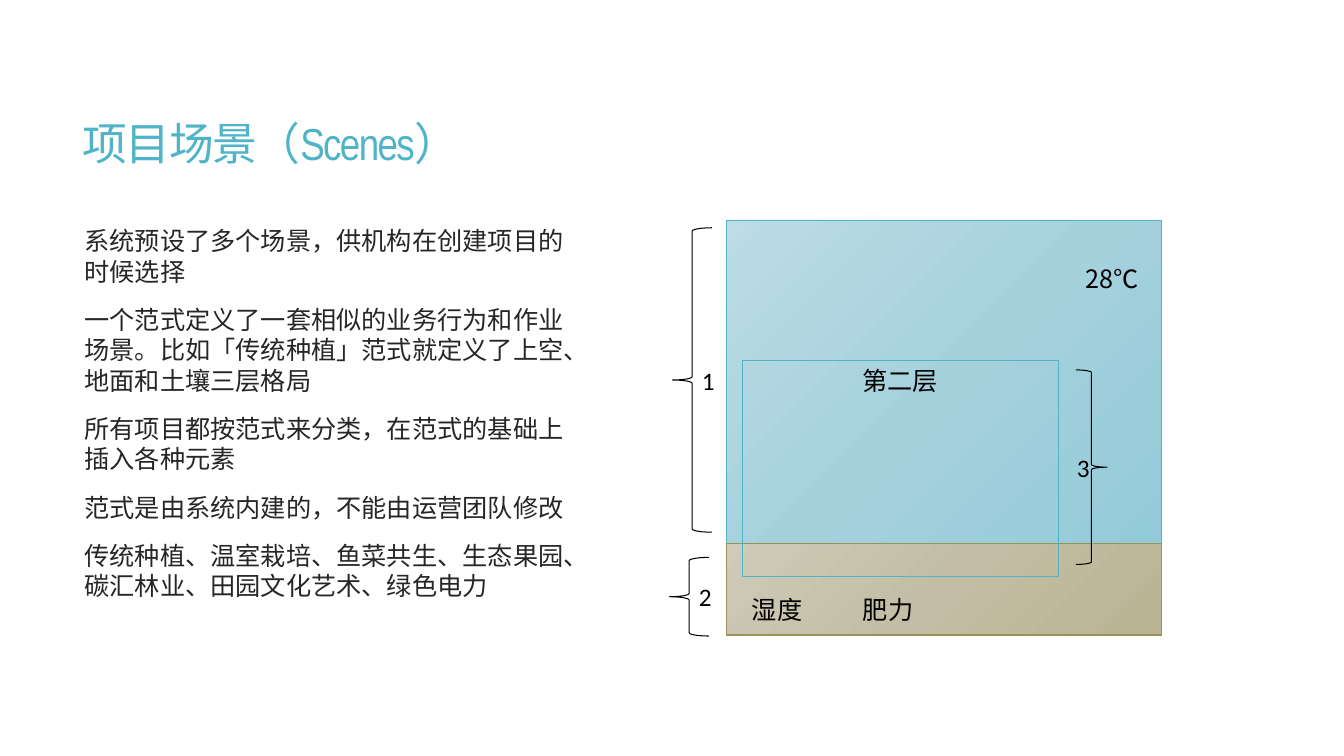
from copy import deepcopy

from pptx import Presentation
from pptx.dml.color import RGBColor
from pptx.enum.shapes import MSO_SHAPE
from pptx.enum.text import MSO_ANCHOR, PP_ALIGN
from pptx.oxml.ns import qn
from pptx.util import Inches, Pt

COLORS = {"accent": "50B4C8", "soil": "9B9256", "text": "262626", "black": "000000"}
CJK, LATIN, TITLE_LATIN = "Noto Sans CJK SC", "Calibri", "Arial Narrow"

TITLE = [("项目场景（", CJK), ("Scenes", TITLE_LATIN), ("）", CJK)]
TITLE_BOX = (0.72, 0.55, 11.78, 1.81)
BODY = [
    "系统预设了多个场景，供机构在创建项目的时候选择",
    "一个范式定义了一套相似的业务行为和作业场景。比如「传统种植」范式就定义了上空、地面和土壤三层格局",
    "所有项目都按范式来分类，在范式的基础上插入各种元素",
    "范式是由系统内建的，不能由运营团队修改",
    "传统种植、温室栽培、鱼菜共生、生态果园、碳汇林业、田园文化艺术、绿色电力",
]
BODY_BOX = (0.74, 2.19, 5.1, 4.12)
LAYERS = [
    ((7.21, 2.19, 4.31, 3.21), "accent", ("BDDCE5", "A5D1DD", "94CBD9")),
    ((7.21, 5.39, 4.31, 0.91), "soil", ("CFCBB8", "C2BDA4", "BAB494")),
]
SECOND_LAYER = ("第二层", (7.36, 3.58, 3.14, 2.14))
BRACES = [
    ("1", MSO_SHAPE.LEFT_BRACE, (6.67, 2.26, 0.39, 3.02)),
    ("2", MSO_SHAPE.LEFT_BRACE, (6.64, 5.53, 0.39, 0.78)),
    ("3", MSO_SHAPE.RIGHT_BRACE, (10.67, 3.67, 0.31, 1.93)),
]
READINGS = [
    ("28℃", (10.67, 2.56, 0.84, 0.4)),
    ("湿度", (7.36, 5.85, 0.81, 0.41)),
    ("肥力", (8.46, 5.85, 0.81, 0.41)),
]


def inches(box):
    return [Inches(value) for value in box]


def color(name):
    return RGBColor.from_string(COLORS[name])


def add_run(paragraph, text, font_name=CJK, size=18, color_name="black"):
    run = paragraph.add_run()
    run.text = text
    for name, value in {"name": font_name, "size": Pt(size), "bold": False}.items():
        setattr(run.font, name, value)
    run.font.color.rgb = color(color_name)
    east_asian = run.font._element.makeelement(qn("a:ea"), {"typeface": CJK})
    run.font._element.find(qn("a:latin")).addnext(east_asian)
    return run


def add_text_box(slide, box):
    frame = slide.shapes.add_textbox(*inches(box)).text_frame
    frame.word_wrap = True
    return frame


def add_outline(slide, kind, box, line_color):
    shape = slide.shapes.add_shape(kind, *inches(box))
    shape.shadow.inherit = False
    shape.fill.background()
    shape.line.color.rgb = color(line_color)
    shape.line.width = Pt(0.75)
    return shape


def add_label(shape, text, font_name, anchor):
    shape.text_frame.vertical_anchor = anchor
    paragraph = shape.text_frame.paragraphs[0]
    paragraph.alignment = PP_ALIGN.CENTER
    add_run(paragraph, text, font_name)


def fill_gradient(shape, stop_colors):
    shape.fill.gradient()
    stop_list = shape._element.spPr.find(qn("a:gradFill")).find(qn("a:gsLst"))
    stop_list.append(deepcopy(stop_list[0]))
    for index, (stop, value) in enumerate(zip(shape.fill.gradient_stops, stop_colors)):
        stop.position = index / 2
        stop.color.rgb = RGBColor.from_string(value)
    shape.fill.gradient_angle = 315


def fill_title(title):
    title.left, title.top, title.width, title.height = inches(TITLE_BOX)
    title.text_frame.vertical_anchor = MSO_ANCHOR.MIDDLE
    paragraph = title.text_frame.paragraphs[0]
    paragraph.alignment = PP_ALIGN.LEFT
    paragraph.line_spacing = 0.85
    for text, font_name in TITLE:
        run = add_run(paragraph, text, font_name, 32, "accent")
        run.font._element.set("spc", "-120")


def add_body(slide):
    frame = add_text_box(slide, BODY_BOX)
    for index, text in enumerate(BODY):
        paragraph = frame.add_paragraph() if index else frame.paragraphs[0]
        paragraph.space_before = Pt(13 if index else 0)
        add_run(paragraph, text, color_name="text")


def main():
    presentation = Presentation()
    presentation.slide_width, presentation.slide_height = inches((13.33, 7.5))
    slide = presentation.slides.add_slide(presentation.slide_layouts[5])
    fill_title(slide.shapes.title)
    add_body(slide)
    for box, line_color, stop_colors in LAYERS:
        fill_gradient(add_outline(slide, MSO_SHAPE.RECTANGLE, box, line_color), stop_colors)
    text, box = SECOND_LAYER
    add_label(add_outline(slide, MSO_SHAPE.RECTANGLE, box, "accent"), text, CJK, MSO_ANCHOR.TOP)
    for text, kind, box in BRACES:
        add_label(add_outline(slide, kind, box, "black"), text, LATIN, MSO_ANCHOR.MIDDLE)
    for text, box in READINGS:
        add_run(add_text_box(slide, box).paragraphs[0], text)
    presentation.save("out.pptx")


if __name__ == "__main__":
    main()
